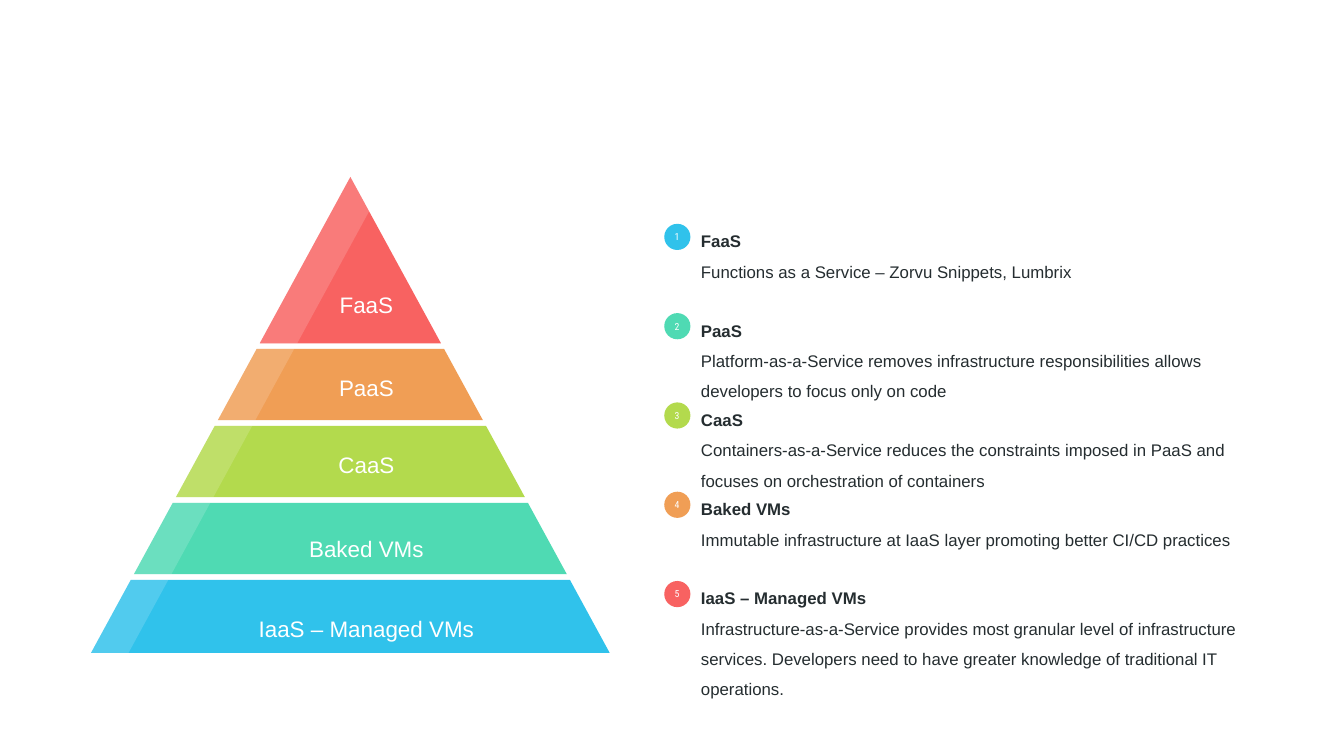
from lxml.etree import SubElement
from pptx import Presentation
from pptx.dml.color import RGBColor
from pptx.enum.shapes import MSO_SHAPE
from pptx.enum.text import MSO_ANCHOR, MSO_AUTO_SIZE, PP_ALIGN
from pptx.oxml.ns import qn
from pptx.util import Cm, Pt

WHITE = RGBColor(0xFF, 0xFF, 0xFF)
INK = RGBColor(0x25, 0x2D, 0x30)
RED = RGBColor(0xF8, 0x62, 0x61)
ORANGE = RGBColor(0xF0, 0x9E, 0x55)
LIME = RGBColor(0xB3, 0xDA, 0x4D)
GREEN = RGBColor(0x4F, 0xDA, 0xB3)
BLUE = RGBColor(0x30, 0xC2, 0xEB)

# Pyramid geometry in centimetres
APEX_X, APEX_Y, BASE_Y = 17.66, 8.92, 32.9
SLOPE = 0.545  # half-width gained per unit of height
BAND_TOP, BAND_PITCH, BAND_GAP = 17.58, 3.88, 0.28
SHEEN_WIDTH, SHEEN_OPACITY = 1.89, 16
LABEL_CENTER = 18.47

# Legend geometry in centimetres
LEGEND_TOP, LEGEND_PITCH = 11.28, 4.5
LINE_HEIGHT = 1.54

# Name, colour, label top, label width
LEVELS = [
    ("FaaS", RED, 14.25, 6),
    ("PaaS", ORANGE, 18.47, 8.46),
    ("CaaS", LIME, 22.35, 8.46),
    ("Baked VMs", GREEN, 26.57, 11.46),
    ("IaaS – Managed VMs", BLUE, 30.58, 11.46),
]

# Description, number of lines, heading width
DESCRIPTIONS = [
    ("Functions as a Service – Zorvu Snippets, Lumbrix", 1, 11.46),
    ("Platform-as-a-Service removes infrastructure responsibilities allows "
     "developers to focus only on code", 2, 11.46),
    ("Containers-as-a-Service reduces the constraints imposed in PaaS and "
     "focuses on orchestration of containers", 2, 13.26),
    ("Immutable infrastructure at IaaS layer promoting better CI/CD practices", 1, 16.74),
    ("Infrastructure-as-a-Service provides most granular level of infrastructure "
     "services. Developers need to have greater knowledge of traditional IT "
     "operations.", 3, 14.45),
]


def set_fill(shape, color, opacity=100):
    shape.shadow.inherit = False
    shape.fill.solid()
    shape.fill.fore_color.rgb = color
    shape.line.fill.background()
    if opacity < 100:
        color_node = shape.fill._xPr.find(qn("a:solidFill"))[0]
        SubElement(color_node, qn("a:alpha")).set("val", str(opacity * 1000))


def add_polygon(slide, points, color, opacity=100):
    corners = [(Cm(x), Cm(y)) for x, y in points]
    builder = slide.shapes.build_freeform(*corners[0])
    builder.add_line_segments(corners[1:], close=True)
    set_fill(builder.convert_to_shape(), color, opacity)


def add_text(slide, text, left, top, width, height, size=24, font="Arial", color=INK,
             bold=False, align=PP_ALIGN.LEFT, spacing=1.2, inset=0.13):
    box = slide.shapes.add_textbox(Cm(left), Cm(top), Cm(width), Cm(height))
    frame = box.text_frame
    frame.word_wrap = True
    frame.auto_size = MSO_AUTO_SIZE.SHAPE_TO_FIT_TEXT
    frame.vertical_anchor = MSO_ANCHOR.TOP
    frame.margin_left = frame.margin_right = Cm(inset)
    frame.margin_top = frame.margin_bottom = Cm(inset)
    paragraph = frame.paragraphs[0]
    paragraph.alignment = align
    paragraph.line_spacing = spacing
    run = paragraph.add_run()
    run.text = text
    run.font.size = Pt(size)
    run.font.name = font
    run.font.bold = bold
    run.font.color.rgb = color


def band_limits(index):
    top = APEX_Y if index == 0 else BAND_TOP + (index - 1) * BAND_PITCH
    is_last = index == len(LEVELS) - 1
    bottom = BASE_Y if is_last else BAND_TOP + index * BAND_PITCH - BAND_GAP
    return top, bottom


def edges(y):
    half = (y - APEX_Y) * SLOPE
    return APEX_X - half, APEX_X + half


def add_band(slide, index, color):
    top, bottom = band_limits(index)
    (top_left, top_right), (bottom_left, bottom_right) = edges(top), edges(bottom)
    base = [(bottom_right, bottom), (bottom_left, bottom)]
    if index == 0:
        add_polygon(slide, [(APEX_X, top)] + base, color)
    else:
        add_polygon(slide, [(top_left, top), (top_right, top)] + base, color)


def add_sheen(slide, index):
    top, bottom = band_limits(index)
    left, bottom_left = edges(top)[0], edges(bottom)[0]
    # At the apex the strip starts where it meets the right edge
    start = max(top, APEX_Y + SHEEN_WIDTH / (2 * SLOPE))
    points = [(left, top), (edges(start)[0] + SHEEN_WIDTH, start),
              (bottom_left + SHEEN_WIDTH, bottom), (bottom_left, bottom)]
    add_polygon(slide, points, WHITE, SHEEN_OPACITY)


def add_pyramid(slide):
    for index, (_, color, _, _) in enumerate(LEVELS):
        add_band(slide, index, color)
        add_sheen(slide, index)
    for name, _, top, width in LEVELS:
        add_text(slide, name, LABEL_CENTER - width / 2, top, width, 1.75,
                 size=32, color=WHITE, align=PP_ALIGN.CENTER)


def add_legend_entry(slide, index, name, color):
    description, lines, heading_width = DESCRIPTIONS[index]
    top = LEGEND_TOP + index * LEGEND_PITCH
    add_text(slide, description, 35.18, top + 1.24, 27.84, 0.08 + lines * LINE_HEIGHT,
             spacing=1.5, inset=0.15)
    add_text(slide, name, 35.2, top + 0.03, heading_width, 1.37, bold=True)
    dot = slide.shapes.add_shape(MSO_SHAPE.OVAL, Cm(33.48), Cm(top), Cm(1.32), Cm(1.32))
    set_fill(dot, color)
    add_text(slide, str(index + 1), 33.71, top + 0.26, 0.84, 0.81, size=14,
             font="Roboto Condensed", color=WHITE, align=PP_ALIGN.CENTER,
             spacing=1.0, inset=0.1)


def main():
    presentation = Presentation()
    presentation.slide_width, presentation.slide_height = Cm(67.74), Cm(38.1)
    slide = presentation.slides.add_slide(presentation.slide_layouts[6])

    # Pyramid on the left
    add_pyramid(slide)

    # Numbered legend on the right, its dots coloured from the base up
    for index, (level, base_level) in enumerate(zip(LEVELS, reversed(LEVELS))):
        add_legend_entry(slide, index, level[0], base_level[1])

    presentation.save("out.pptx")


if __name__ == "__main__":
    main()
